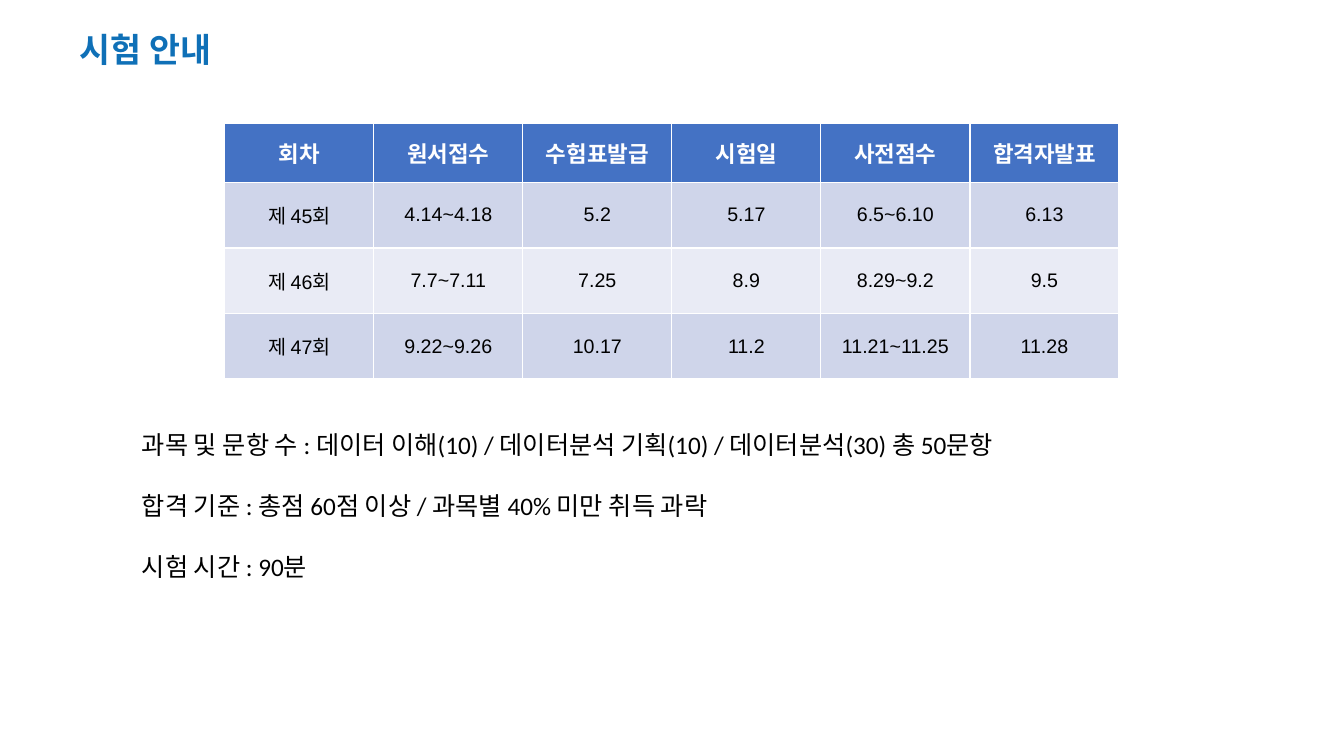
from pptx import Presentation
from pptx.dml.color import RGBColor
from pptx.enum.text import MSO_ANCHOR as Anchor, PP_ALIGN as Align
from pptx.util import Inches, Pt

# Content
TITLE = "시험 안내"
SCHEDULE = [
    ("회차", "원서접수", "수험표발급", "시험일", "사전점수", "합격자발표"),
    ("제 45회", "4.14~4.18", "5.2", "5.17", "6.5~6.10", "6.13"),
    ("제 46회", "7.7~7.11", "7.25", "8.9", "8.29~9.2", "9.5"),
    ("제 47회", "9.22~9.26", "10.17", "11.2", "11.21~11.25", "11.28"),
]
NOTES = [
    "과목 및 문항 수 : 데이터 이해(10) / 데이터분석 기획(10) / 데이터분석(30) 총 50문항",
    "합격 기준 : 총점 60점 이상 / 과목별 40% 미만 취득 과락",
    "시험 시간 : 90분",
]

# Colours and text formats
BLUE = RGBColor(0x0F, 0x70, 0xB7)
HEADER = RGBColor(0x44, 0x72, 0xC4)
BANDS = [RGBColor(0xE9, 0xEB, 0xF5), RGBColor(0xCF, 0xD5, 0xEA)]
WHITE = RGBColor(0xFF, 0xFF, 0xFF)
BLACK = RGBColor(0, 0, 0)

TITLE_FONT = {"name": "Arial", "size": Pt(24), "bold": True}
HEADER_FONT = {"name": "Arial", "size": Pt(16), "bold": True}
BODY_FONT = {"name": "Arial", "size": Pt(14), "bold": False}
NOTE_FONT = {"name": "Calibri", "size": Pt(18)}

HEADER_HEIGHT, ROW_HEIGHT = 0.59, 0.65


def write(p, text, color, font):
    r = p.add_run()
    r.text = text
    r.font.color.rgb = color
    for key, value in font.items():
        setattr(r.font, key, value)


def place(sp, left, top, width, height):
    sp.left, sp.top = Inches(left), Inches(top)
    sp.width, sp.height = Inches(width), Inches(height)


def add_title(slide):
    sp = slide.shapes.title
    place(sp, 0, 0.08, 10, 0.66)
    tf = sp.text_frame
    tf.margin_left = Inches(0.79)
    tf.vertical_anchor = Anchor.BOTTOM
    p = tf.paragraphs[0]
    p.alignment = Align.LEFT
    p.line_spacing = 0.9
    write(p, TITLE, BLUE, TITLE_FONT)


def add_schedule(slide):
    heights = [HEADER_HEIGHT] + [ROW_HEIGHT] * (len(SCHEDULE) - 1)
    table = slide.shapes.add_table(
        len(SCHEDULE), len(SCHEDULE[0]), Inches(2.23), Inches(1.22),
        Inches(8.87), Inches(sum(heights))).table
    for i, (row, height) in enumerate(zip(SCHEDULE, heights)):
        table.rows[i].height = Inches(height)
        for j, text in enumerate(row):
            cell = table.cell(i, j)
            cell.fill.solid()
            cell.fill.fore_color.rgb = BANDS[i % 2] if i else HEADER
            cell.vertical_anchor = Anchor.MIDDLE
            p = cell.text_frame.paragraphs[0]
            p.alignment = Align.CENTER
            write(p, text, BLACK if i else WHITE, BODY_FONT if i else HEADER_FONT)


def add_notes(slide):
    tf = slide.shapes.add_textbox(
        Inches(1.31), Inches(4.21), Inches(10.93), Inches(1.62)).text_frame
    tf.word_wrap = True
    for i, text in enumerate(NOTES):
        p = tf.add_paragraph() if i else tf.paragraphs[0]
        p.space_before = Pt(22 if i else 0)
        write(p, text, BLACK, NOTE_FONT)


def main():
    prs = Presentation()
    prs.slide_width, prs.slide_height = Inches(13.33), Inches(7.5)
    slide = prs.slides.add_slide(prs.slide_layouts[5])
    add_title(slide)
    add_schedule(slide)
    add_notes(slide)
    prs.save("out.pptx")


if __name__ == "__main__":
    main()
